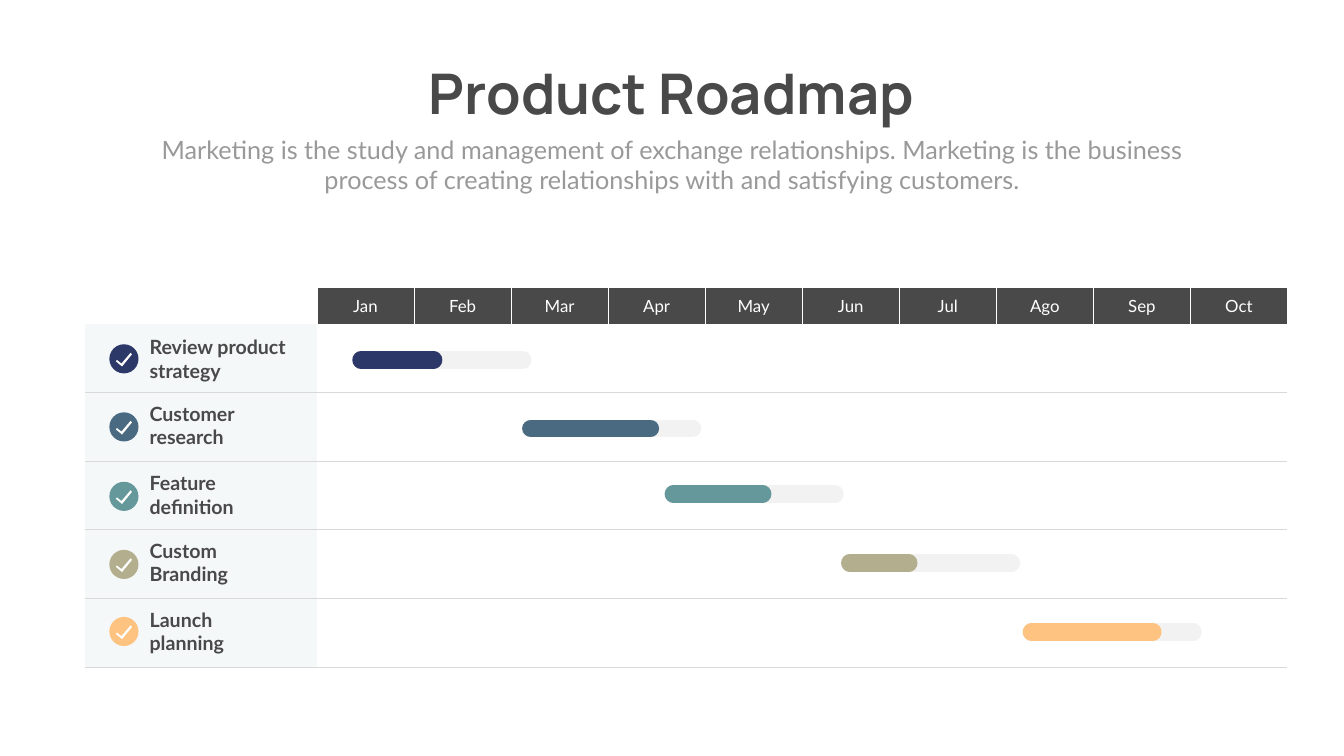
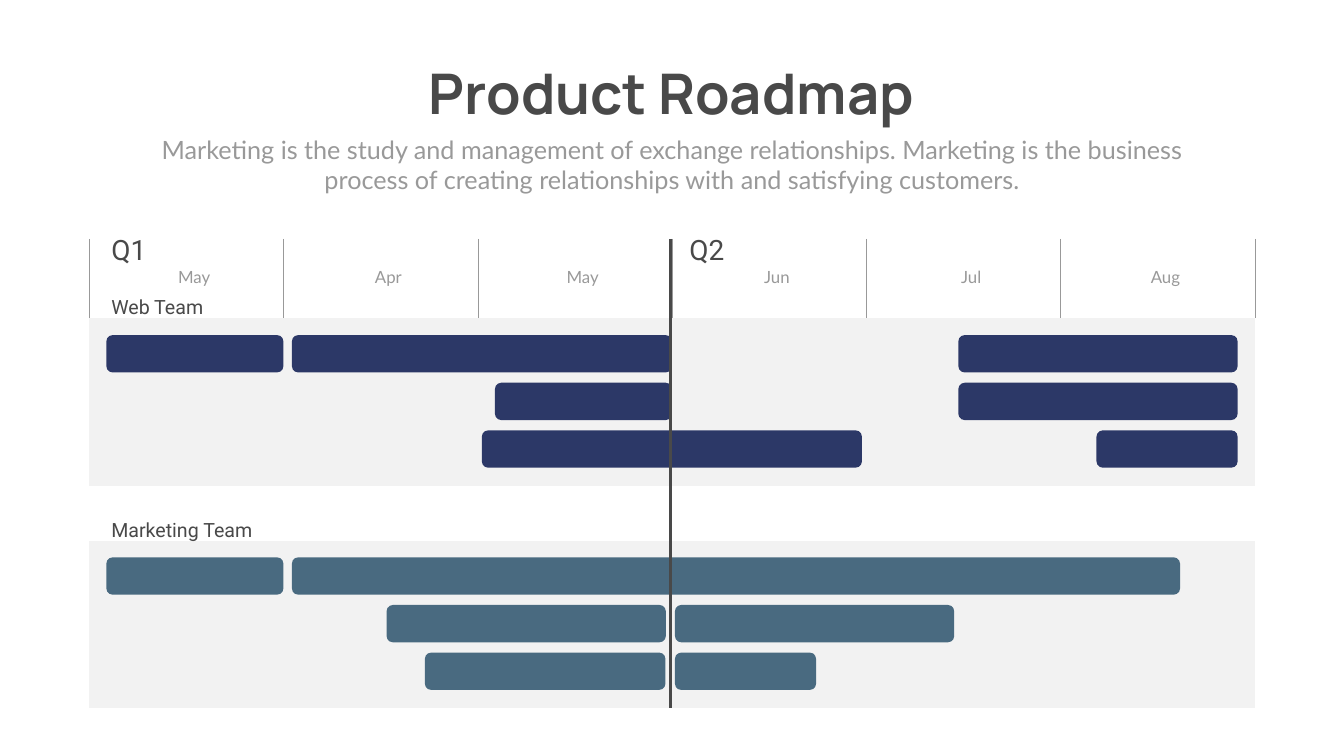
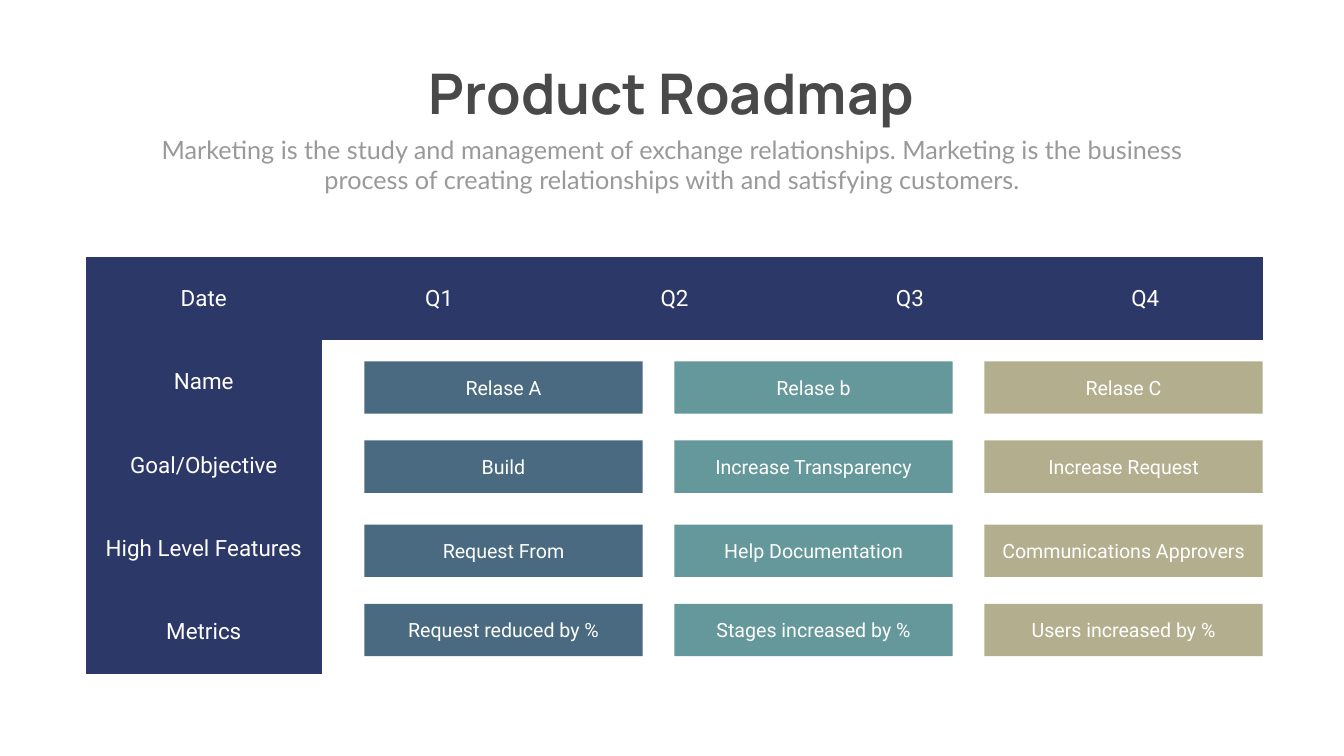
from dataclasses import dataclass

from pptx import Presentation
from pptx.dml.color import RGBColor as RGB
from pptx.enum.shapes import MSO_CONNECTOR as LINK, MSO_SHAPE as SHAPE, MSO_SHAPE_TYPE as KIND
from pptx.enum.text import MSO_ANCHOR as ANCHOR, MSO_AUTO_SIZE as FIT, PP_ALIGN as ALIGN
from pptx.oxml.ns import qn
from pptx.oxml.xmlchemy import OxmlElement as Element
from pptx.util import Cm, Pt


@dataclass(frozen=True)
class Theme:
    dark: str = "494949"
    gray: str = "999999"
    rule: str = "D9D9D9"
    pale: str = "F2F2F2"
    mist: str = "F5F8F9"
    white: str = "FFFFFF"
    navy: str = "2C3867"
    steel: str = "496A80"
    teal: str = "65989B"
    olive: str = "B3AF8E"
    peach: str = "FFC381"
    display: str = "Manrope"
    body: str = "Lato"
    label: str = "Roboto"
    title_size: int = 80
    quarter_size: int = 40
    subtitle_size: int = 36
    heading_size: int = 32
    label_size: int = 28
    month_size: int = 24


theme = Theme()
NO_STYLE = "{2D5ABB26-0587-4C30-8999-92F81FD0307C}"


def write(box, text, size=theme.label_size, font=theme.label, color=theme.dark,
          bold=False, align=None, wrap=None):
    frame = box.text_frame
    frame.word_wrap = wrap
    para = frame.paragraphs[0]
    para.alignment = align
    span = para.add_run()
    span.text = text
    span.font.size = Pt(size)
    span.font.name = font
    span.font.bold = bold
    span.font.color.rgb = RGB.from_string(color)


def add_grid(page, left, top, widths, heights, fill, texts={}, edges=None, margins=None, **style):
    table = page.shapes.add_table(len(heights), len(widths), Cm(left), Cm(top),
                                  Cm(sum(widths)), Cm(sum(heights))).table
    table.first_row = table.horz_banding = False
    table._tbl.tblPr.find(qn("a:tableStyleId")).text = NO_STYLE
    for column, width in zip(table.columns, widths):
        column.width = Cm(width)
    for row, height in zip(table.rows, heights):
        row.height = Cm(height)
    for r in range(len(heights)):
        for c in range(len(widths)):
            cell = table.cell(r, c)
            for side, (color, width) in (edges(r, c) if edges else {}).items():
                border = Element(f"a:ln{side}")
                border.set("w", str(Pt(width)))
                paint = Element("a:solidFill")
                tint = Element("a:srgbClr")
                tint.set("val", color)
                paint.append(tint)
                border.append(paint)
                cell._tc.get_or_add_tcPr().append(border)
            cell.fill.solid()
            cell.fill.fore_color.rgb = RGB.from_string(fill(r, c))
            cell.vertical_anchor = ANCHOR.MIDDLE
            if (r, c) in texts:
                if margins:
                    (cell.margin_left, cell.margin_top,
                     cell.margin_right, cell.margin_bottom) = map(Cm, margins)
                write(cell, texts[r, c], align=ALIGN.CENTER, **style)


deck = Presentation()
deck.slide_width, deck.slide_height = Cm(67.72), Cm(38.1)
tasks_page, teams_page, releases_page = pages = [
    deck.slides.add_slide(deck.slide_layouts[6]) for _ in range(3)]

for page in pages:
    write(page.shapes.add_textbox(Cm(20.29), Cm(2.84), Cm(27.1), Cm(3.68)), "Product Roadmap",
          size=theme.title_size, font=theme.display, bold=True, align=ALIGN.CENTER, wrap=False)
    write(page.shapes.add_textbox(Cm(7.42), Cm(6.63), Cm(52.88), Cm(3.33)),
          "Marketing is the study and management of exchange relationships. Marketing is the "
          "business process of creating relationships with and satisfying customers.",
          size=theme.subtitle_size, font=theme.body, color=theme.gray,
          align=ALIGN.CENTER, wrap=True)

months = "Jan Feb Mar Apr May Jun Jul Ago Sep Oct".split()
divider = (theme.white, 0.5)
add_grid(tasks_page, 4.29, 14.53, [11.68] + [4.89] * 10, [1.78] + [3.46] * 5,
         fill=lambda r, c: (theme.dark if c else theme.white) if r == 0
         else (theme.white if c else theme.mist),
         texts={(0, c): month for c, month in enumerate(months, 1)},
         edges=lambda r, c: {"B": (theme.rule, 1)} if r else {"L": divider, "R": divider},
         size=theme.month_size, font=theme.body, color=theme.white)

tasks = [
    ("Review product strategy", theme.navy, 16.76, 17.35, 18.14, 18.19, 3.66),
    ("Customer research", theme.steel, 20.12, 20.78, 21.59, 26.75, 6.02),
    ("Feature definition", theme.teal, 23.62, 24.28, 24.89, 33.93, 4.5),
    ("Custom Branding", theme.olive, 27.03, 27.71, 28.37, 42.82, 2.97),
    ("Launch planning", theme.peach, 30.51, 31.09, 31.85, 51.97, 6.12),
]
tick = [(1.07, 0.43), (1.14, 0.51), (0.64, 1.12), (0.33, 0.86), (0.38, 0.79), (0.61, 0.97)]
badge_left = 5.51
for name, color, name_top, badge_top, bar_y, bar_left, done in tasks:
    write(tasks_page.shapes.add_textbox(Cm(7.29), Cm(name_top), Cm(7.57), Cm(2.64)), name,
          font=theme.body, bold=True, wrap=True)
    badge = tasks_page.shapes.add_shape(SHAPE.OVAL, Cm(badge_left), Cm(badge_top),
                                        Cm(1.47), Cm(1.47))
    corners = [(Cm(badge_left + x), Cm(badge_top + y)) for x, y in tick]
    outline = tasks_page.shapes.build_freeform(*corners[0])
    outline.add_line_segments(corners[1:], close=True)
    for shape, paint in ((badge, color), (outline.convert_to_shape(), theme.white)):
        shape.fill.solid()
        shape.fill.fore_color.rgb = RGB.from_string(paint)
    for length, paint in ((8.14, theme.pale), (done, color)):
        bar = tasks_page.shapes.add_connector(LINK.STRAIGHT, Cm(bar_left), Cm(bar_y),
                                              Cm(bar_left + length), Cm(bar_y))
        bar.line.width = Pt(25)
        bar.line.color.rgb = RGB.from_string(paint)
        bar.line._get_or_add_ln().set("cap", "rnd")

month_edge = (theme.gray, 1)
add_grid(teams_page, 4.5, 12.04, [9.79] * 6, [4.01] + [2.81] * 3,
         fill=lambda r, c: theme.pale if r else theme.white,
         texts={(0, c): month for c, month in enumerate("May Apr May Jun Jul Aug".split())},
         edges=lambda r, c: {} if r else {"L": month_edge, "R": month_edge},
         margins=(1.02, 0, 0.25, 0.13),
         size=theme.month_size, font=theme.body, color=theme.gray)
add_grid(teams_page, 4.5, 27.25, [9.79] * 6, [2.81] * 3, fill=lambda r, c: theme.pale)

for quarter, left in (("Q1", 5.36), ("Q2", 34.49)):
    write(teams_page.shapes.add_textbox(Cm(left), Cm(11.58), Cm(5.64), Cm(1.96)), quarter,
          size=theme.quarter_size, wrap=True)

teams = [
    ("Web Team", 14.76, 16.89, theme.navy,
     [(0, 5.36, 8.92), (0, 14.71, 19.15), (0, 48.29, 14.07), (1, 24.94, 8.92),
      (1, 48.29, 14.07), (2, 24.28, 19.15), (2, 55.25, 7.11)]),
    ("Marketing Team", 25.98, 28.09, theme.steel,
     [(0, 5.36, 8.92), (0, 14.71, 44.75), (1, 19.48, 14.07), (1, 34.01, 14.07),
      (2, 21.41, 12.12), (2, 34.01, 7.11)]),
]
for team, name_top, first_top, color, bars in teams:
    for lane, left, width in bars:
        bar = teams_page.shapes.add_shape(SHAPE.ROUNDED_RECTANGLE, Cm(left),
                                          Cm(first_top + lane * 2.4), Cm(width), Cm(1.88))
        bar.fill.solid()
        bar.fill.fore_color.rgb = RGB.from_string(color)
    write(teams_page.shapes.add_textbox(Cm(5.36), Cm(name_top), Cm(16.64), Cm(1.45)), team,
          wrap=True)

today = teams_page.shapes.add_connector(LINK.STRAIGHT, Cm(33.78), Cm(12.04), Cm(33.78), Cm(35.69))
today.line.width = Pt(5)
today.line.color.rgb = RGB.from_string(theme.dark)

headings = {(0, c): f"Q{c}" for c in range(1, 5)}
for r, heading in enumerate(["Date", "Name", "Goal/Objective", "High Level Features", "Metrics"]):
    headings[r, 0] = heading
add_grid(releases_page, 4.34, 12.95, [11.86] * 5, [4.2] * 5,
         fill=lambda r, c: theme.white if r and c else theme.navy,
         texts=headings, size=theme.heading_size, color=theme.white)

releases = [
    (18.21, ["Relase A", "Relase b", "Relase C"]),
    (22.2, ["Build", "Increase Transparency", "Increase Request"]),
    (26.44, ["Request From", "Help Documentation", "Communications Approvers"]),
    (30.43, ["Request reduced by %", "Stages increased by %", "Users increased by %"]),
]
for top, entries in releases:
    for c, (entry, color) in enumerate(zip(entries, (theme.steel, theme.teal, theme.olive))):
        box = releases_page.shapes.add_shape(SHAPE.RECTANGLE, Cm(18.36 + c * 15.62), Cm(top),
                                             Cm(14.02), Cm(2.64))
        box.fill.solid()
        box.fill.fore_color.rgb = RGB.from_string(color)
        write(box, entry, color=theme.white, align=ALIGN.CENTER)

for page in pages:
    for shape in page.shapes:
        if shape.shape_type == KIND.TEXT_BOX:
            shape.text_frame.auto_size = FIT.SHAPE_TO_FIT_TEXT
        elif shape.shape_type == KIND.LINE:
            shape._element.spPr.append(Element("a:effectLst"))
        elif shape.shape_type in (KIND.AUTO_SHAPE, KIND.FREEFORM):
            shape.line.fill.background()
            shape.shadow.inherit = False

deck.save("out.pptx")
